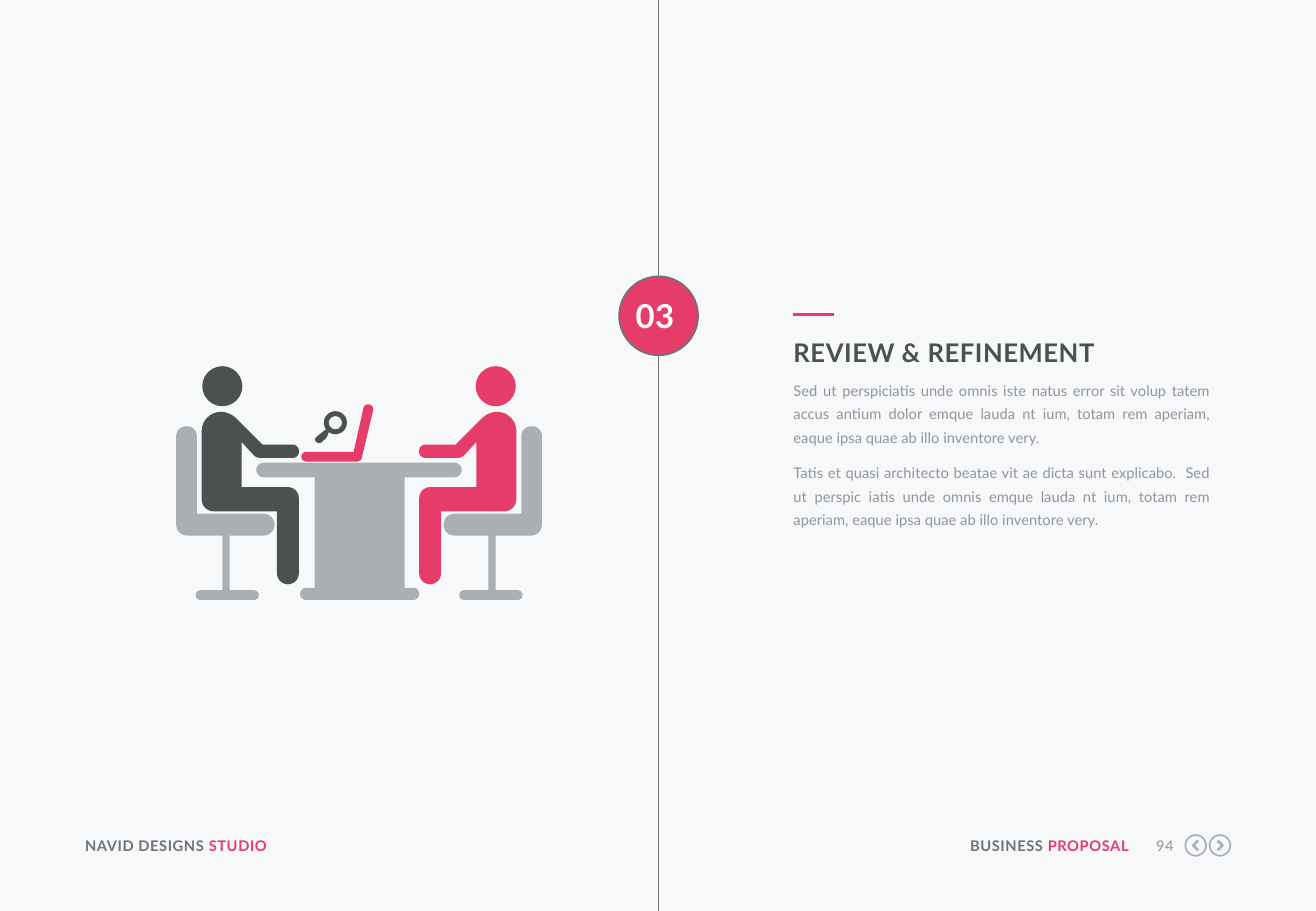
"""Build the review and refinement slide."""
from dataclasses import dataclass
import math

import pptx
import pptx.dml.color
import pptx.enum.shapes
import pptx.enum.text
import pptx.oxml
import pptx.util
from pptx.util import Inches

ALIGN = pptx.enum.text.PP_ALIGN
KIND = pptx.enum.shapes.MSO_SHAPE


@dataclass(frozen=True)
class Theme:
    """Colours, font and type sizes."""
    paper: str = "F6F8FA"
    white: str = "FFFFFF"
    pink: str = "E63C69"
    dark: str = "4B5050"
    slate: str = "6E7378"
    grey: str = "91969B"
    silver: str = "AAAFB4"
    font: str = "Lato"
    small: float = 8.7
    head: float = 15.2
    badge: float = 19.5


THEME = Theme()
MIRROR = 5.91
SPINE = 5.42

PERSON = [
    (1.66, 3.39, .16), (1.89, 3.39, .07), (2.16, 3.66, 0),
    (2.46, 3.66, .05), (2.46, 3.77, .05), (2.11, 3.77, .03),
    (1.99, 3.64, 0), (1.99, 4.01, 0), (2.46, 4.01, .09),
    (2.46, 4.81, .09), (2.28, 4.81, .09), (2.28, 4.21, 0),
    (1.66, 4.21, .1),
]
CHAIR = [
    (1.45, 3.51, .08), (1.62, 3.51, .08), (1.62, 4.23, 0),
    (2.26, 4.23, .09), (2.26, 4.41, .09), (1.89, 4.41, 0),
    (1.89, 4.86, 0), (2.13, 4.86, .04), (2.13, 4.94, .04),
    (1.61, 4.94, .04), (1.61, 4.86, .04), (1.83, 4.86, 0),
    (1.83, 4.41, 0), (1.45, 4.41, .09),
]
TABLE = [
    (2.11, 3.81, .06), (3.8, 3.81, .06), (3.8, 3.93, .06),
    (3.33, 3.93, 0), (3.33, 4.84, 0), (3.45, 4.84, .05),
    (3.45, 4.94, .05), (2.47, 4.94, .05), (2.47, 4.84, .05),
    (2.59, 4.84, 0), (2.59, 3.93, 0), (2.11, 3.93, .06),
]
LAPTOP = [
    (2.48, 3.72, .04), (2.91, 3.72, 0), (3, 3.32, .04),
    (3.08, 3.34, .04), (2.97, 3.8, .03), (2.48, 3.8, .04),
]
HANDLE = [
    (2.65, 3.56, 0), (2.69, 3.53, 0), (2.71, 3.55, 0),
    (2.69, 3.6, 0), (2.63, 3.66, .03), (2.58, 3.62, .03),
]
BODY = [
    "Sed ut perspiciatis unde omnis iste natus error sit volup tatem "
    "accus antium dolor emque lauda nt ium, totam rem aperiam, "
    "eaque ipsa quae ab illo inventore very.",
    "Tatis et quasi architecto beatae vit ae dicta sunt explicabo.  Sed "
    "ut perspic iatis unde omnis emque lauda nt ium, totam rem "
    "aperiam, eaque ipsa quae ab illo inventore very.",
]


def rgb(code):
    """Turn a hex code into a colour."""
    return pptx.dml.color.RGBColor.from_string(code)


def paint(shape, fill=None, line=None, width=1):
    """Set fill and line and drop the shadow."""
    shape.shadow.inherit = False
    if fill:
        shape.fill.solid()
        shape.fill.fore_color.rgb = rgb(fill)
    else:
        shape.fill.background()
    if line:
        shape.line.color.rgb = rgb(line)
        shape.line.width = pptx.util.Pt(width)
    else:
        shape.line.fill.background()


def write(shape, paras, size, bold=False, align=ALIGN.LEFT, track=0,
          lead=None, anchor=pptx.enum.text.MSO_ANCHOR.TOP):
    """Fill a text frame with paragraphs of (text, colour) runs."""
    frame = shape.text_frame
    frame.word_wrap = True
    frame.auto_size = pptx.enum.text.MSO_AUTO_SIZE.NONE
    frame.vertical_anchor = anchor
    frame.margin_left = frame.margin_right = 0
    frame.margin_top = frame.margin_bottom = 0
    for num, runs in enumerate(paras):
        para = frame.add_paragraph() if num else frame.paragraphs[0]
        para.alignment = align
        if lead:
            para.line_spacing = pptx.util.Pt(lead)
            para.space_before = pptx.util.Pt(0)
            para.space_after = pptx.util.Pt(6.5)
        for text, tint in runs:
            run = para.add_run()
            run.text = text
            run.font.name = THEME.font
            run.font.size = pptx.util.Pt(size)
            run.font.bold = bold
            run.font.color.rgb = rgb(tint)
            if track:
                run.font._element.set("spc", str(track))


def label(shapes, rect, paras, **style):
    """Add a text box."""
    box = shapes.add_textbox(*map(Inches, rect))
    write(box, paras, THEME.small, **style)


def rule(shapes, start, end, tint, width):
    """Add a straight line."""
    line = shapes.add_connector(pptx.enum.shapes.MSO_CONNECTOR.STRAIGHT,
                                *map(Inches, start + end))
    line.line.color.rgb = rgb(tint)
    line.line.width = pptx.util.Pt(width)
    props = line._element.spPr
    props.append(pptx.oxml.parse_xml(
        '<a:effectLst xmlns:a='
        '"http://schemas.openxmlformats.org/drawingml/2006/main"/>'))


def disc(shapes, mid, size, fill=None, line=None, kind=KIND.OVAL):
    """Add a round shape about its centre."""
    left, top = (v - size / 2 for v in mid)
    shape = shapes.add_shape(kind, *map(Inches, (left, top, size, size)))
    paint(shape, fill, line)
    return shape


def smooth(outline, steps=8):
    """Round each corner by its reach along both sides."""
    points = []
    for num, (x, y, reach) in enumerate(outline):
        if not reach:
            points.append((x, y))
            continue
        ends = []
        for side in (outline[num - 1], outline[(num + 1) % len(outline)]):
            part = reach / math.dist((x, y), side[:2])
            ends.append((x + (side[0] - x) * part, y + (side[1] - y) * part))
        (ax, ay), (bx, by) = ends
        for step in range(steps + 1):
            turn = math.pi / 2 * step / steps
            near, far = 1 - math.sin(turn), 1 - math.cos(turn)
            points.append((x + (ax - x) * near + (bx - x) * far,
                           y + (ay - y) * near + (by - y) * far))
    return points


def trace(shapes, points, close=True):
    """Draw a path through points."""
    dots = [(Inches(x), Inches(y)) for x, y in points]
    path = shapes.build_freeform(*dots[0], scale=1.0)
    path.add_line_segments(dots[1:], close=close)
    return path.convert_to_shape()


def form(shapes, outline, fill):
    """Add a filled outline with round corners."""
    paint(trace(shapes, smooth(outline)), fill)


def flip(outline):
    """Mirror an outline to the right seat."""
    return [(MIRROR - x, y, reach) for x, y, reach in outline]


def scene(shapes):
    """Draw the meeting at the table."""
    art = shapes.add_group_shape().shapes
    form(art, LAPTOP, THEME.pink)
    form(art, HANDLE, THEME.dark)
    ring = disc(art, (2.76, 3.48), .19, THEME.dark, kind=KIND.DONUT)
    ring.adjustments[0] = .21
    form(art, flip(PERSON), THEME.pink)
    form(art, PERSON, THEME.dark)
    for x, tint in ((1.83, THEME.dark), (MIRROR - 1.83, THEME.pink)):
        disc(art, (x, 3.18), .33, tint)
    for part in (CHAIR, flip(CHAIR), TABLE):
        form(art, part, THEME.silver)


def footer(shapes):
    """Add the footer names, page number and buttons."""
    for rect, name, tail, align in (
            ((.7, 6.89, 2.11, .15), "NAVID DESIGNS ", "STUDIO", ALIGN.LEFT),
            ((7.92, 6.89, 1.37, .15), "BUSINESS ", "PROPOSAL", ALIGN.RIGHT)):
        label(shapes, rect, [[(name, THEME.slate), (tail, THEME.pink)]],
              bold=True, align=align, track=30)
    label(shapes, (9.41, 6.89, .25, .15), [[("94", THEME.grey)]],
          align=ALIGN.RIGHT, track=30)
    for x, way in ((9.84, -.02), (10.04, .02)):
        disc(shapes, (x, 6.96), .17, line=THEME.silver)
        arrow = [(x - way, 6.92), (x + way, 6.96), (x - way, 7)]
        paint(trace(shapes, arrow, False), line=THEME.silver, width=1.5)


def main():
    """Build and save the slide."""
    deck = pptx.Presentation()
    deck.slide_width, deck.slide_height = Inches(10.83), Inches(7.5)
    slide = deck.slides.add_slide(deck.slide_layouts[5])
    slide.background.fill.solid()
    slide.background.fill.fore_color.rgb = rgb(THEME.paper)
    shapes = slide.shapes
    title = shapes.title
    title.left, title.top = Inches(6.53), Inches(2.77)
    title.width, title.height = Inches(3.44), Inches(.25)
    write(title, [[("REVIEW & REFINEMENT", THEME.dark)]], THEME.head,
          bold=True, track=30, lead=18.4)
    footer(shapes)
    badge = disc(shapes, (SPINE, 2.6), .65, THEME.pink, THEME.slate)
    write(badge, [[("03", THEME.white)]], THEME.badge, bold=True, track=20,
          align=ALIGN.CENTER, anchor=pptx.enum.text.MSO_ANCHOR.MIDDLE)
    badge.text_frame.margin_right = Inches(.06)
    for start, end in ((0, 2.28), (2.93, 7.5)):
        rule(shapes, (SPINE, start), (SPINE, end), THEME.slate, 1)
    scene(shapes)
    label(shapes, (6.53, 3.09, 3.43, 1.28),
          [[(text, THEME.grey)] for text in BODY],
          align=ALIGN.JUSTIFY, lead=14.1)
    rule(shapes, (6.53, 2.59), (6.86, 2.59), THEME.pink, 1.5)
    deck.save("out.pptx")


if __name__ == "__main__":
    main()
